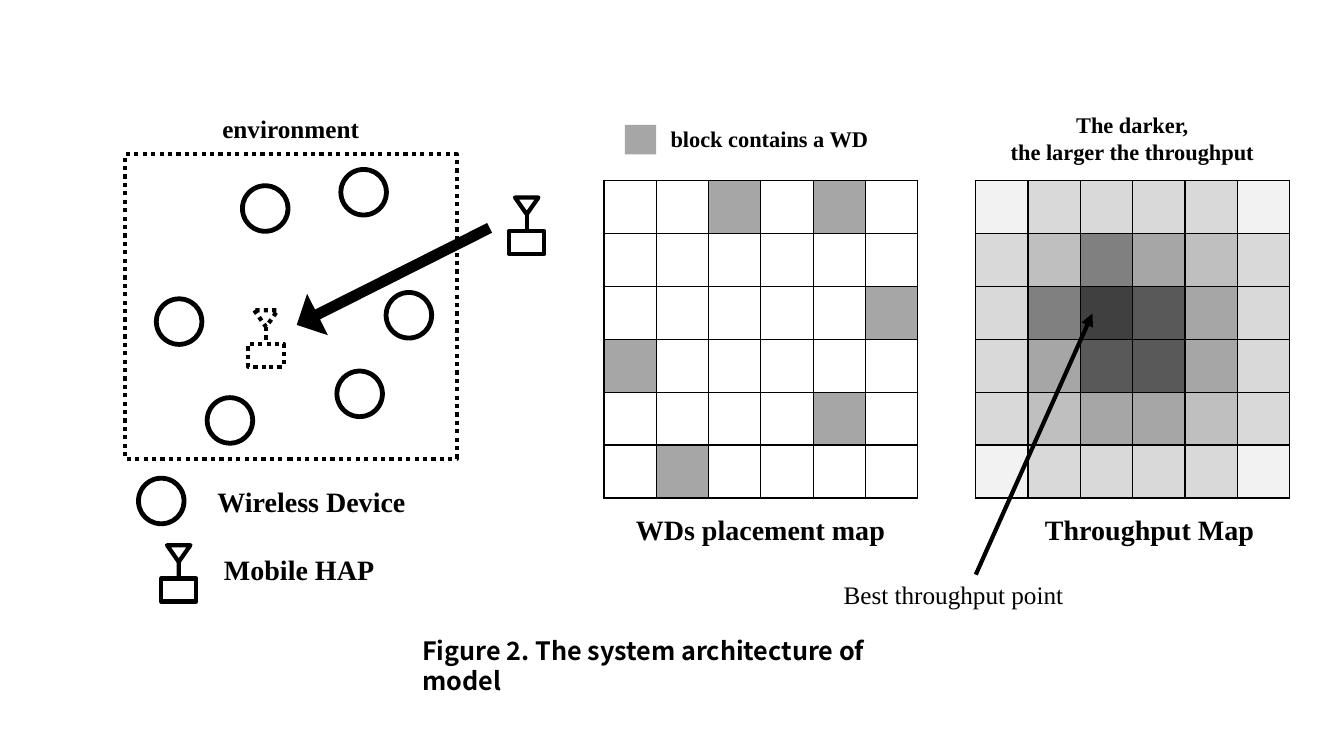
from lxml import etree
from pptx import Presentation
from pptx.dml.color import RGBColor
from pptx.enum.dml import MSO_LINE
from pptx.enum.shapes import MSO_CONNECTOR, MSO_SHAPE
from pptx.enum.text import MSO_ANCHOR, MSO_AUTO_SIZE, PP_ALIGN
from pptx.oxml import parse_xml
from pptx.oxml.ns import nsdecls, qn
from pptx.util import Cm, Pt

# Content: all lengths in centimetres
BLACK, GREY = "000000", "A6A6A6"
SERIF, SANS = "Times New Roman", "Noto Sans CJK KR"
SHADES = {"0": None, "1": "F2F2F2", "2": "D9D9D9", "3": "BFBFBF",
          "4": GREY, "5": "808080", "6": "595959", "7": "404040"}
PLACEMENT_MAP = ["004040", "000000", "000004", "400000", "000040", "040000"]
THROUGHPUT_MAP = ["122221", "235432", "257642", "246642", "234432", "122221"]
MAPS = [(15.22, 4.55, PLACEMENT_MAP), (24.59, 4.55, THROUGHPUT_MAP)]
MAP_WIDTH, MAP_HEIGHT = 7.91, 8.0

DEVICE_SIZE = 1.27
DEVICES = [(6.05, 4.62), (3.43, 11.99), (3.88, 7.47), (5.16, 9.96),
           (8.43, 9.29), (9.67, 7.31), (8.53, 4.21)]
HAPS = [(12.83, 4.98, False), (4.06, 13.74, False), (6.26, 7.82, True)]

# left, top, width, height, lines, size, bold
LABELS = [
    (5.21, 12.09, 5.28, 1.11, ["Wireless Device"], 20, True),
    (5.38, 13.8, 4.32, 1.11, ["Mobile HAP"], 20, True),
    (26.06, 12.78, 5.82, 1.11, ["Throughput Map"], 20, True),
    (15.75, 12.78, 6.83, 1.11, ["WDs placement map"], 20, True),
    (16.61, 3.03, 5.56, 0.94, ["block contains a WD"], 16, True),
    (25.17, 2.67, 6.73, 1.62, ["The darker,", "the larger the throughput"], 16, True),
    (20.98, 14.48, 6.1, 1.03, ["Best throughput point"], 18, False),
    (5.33, 2.74, 3.99, 1.03, ["environment"], 18, True),
]
CAPTION = (10.39, 15.88, 13.74, 1.03,
           ["Figure 2. The system architecture of model"], 18, True)

deck = Presentation()
deck.slide_width, deck.slide_height = Cm(33.87), Cm(19.05)
page = deck.slides.add_slide(deck.slide_layouts[6])


def color(value):
    return RGBColor.from_string(value)


def paint(fill, value):
    if value:
        fill.solid()
        fill.fore_color.rgb = color(value)
    else:
        fill.background()


def outline(line, dotted=False):
    line.color.rgb = color(BLACK)
    line.width = Pt(3)
    if dotted:
        line.dash_style = MSO_LINE.ROUND_DOT


def add_figure(kind, left, top, width, height, fill=None, dotted=False):
    """Filled figures have no outline; unfilled ones have a black outline."""
    shape = page.shapes.add_shape(kind, Cm(left), Cm(top), Cm(width), Cm(height))
    shape.shadow.inherit = False
    paint(shape.fill, fill)
    if fill:
        shape.line.fill.background()
    else:
        outline(shape.line, dotted)
    return shape


def add_line(x1, y1, x2, y2, dotted=False):
    link = page.shapes.add_connector(MSO_CONNECTOR.STRAIGHT,
                                     Cm(x1), Cm(y1), Cm(x2), Cm(y2))
    outline(link.line, dotted)
    etree.SubElement(link._element.spPr, qn("a:effectLst"))
    return link


def add_text(left, top, width, height, lines, size, bold,
             font=SERIF, align=PP_ALIGN.CENTER, wrap=False):
    box = page.shapes.add_textbox(Cm(left), Cm(top), Cm(width), Cm(height))
    frame = box.text_frame
    frame.word_wrap = wrap
    frame.auto_size = MSO_AUTO_SIZE.SHAPE_TO_FIT_TEXT
    frame.vertical_anchor = MSO_ANCHOR.TOP
    frame.text = "\n".join(lines)
    for para in frame.paragraphs:
        para.alignment = align
        for span in para.runs:
            span.font.name, span.font.size, span.font.bold = font, Pt(size), bold
            span.font.color.rgb = color(BLACK)
            east_asian = etree.SubElement(span.font._element, qn("a:ea"))
            east_asian.set("typeface", font)


def add_hap(left, top, dotted):
    body = add_figure(MSO_SHAPE.RECTANGLE, left, top + 0.84, 0.89, 0.58, dotted=dotted)
    antenna = add_figure(MSO_SHAPE.ISOSCELES_TRIANGLE, left + 0.15, top, 0.59, 0.42,
                         dotted=dotted)
    antenna._element.spPr.find(qn("a:xfrm")).set("flipV", "1")
    middle = left + 0.89 / 2
    stem = add_line(middle, top + 0.42, middle, top + 0.84, dotted)
    stem.end_connect(body, 0)


def add_map(left, top, rows):
    count = len(rows)
    table = page.shapes.add_table(count, count, Cm(left), Cm(top),
                                  Cm(MAP_WIDTH), Cm(MAP_HEIGHT)).table
    table.first_row = table.horz_banding = False
    for column in table.columns:
        column.width = Cm(MAP_WIDTH / count)
    for r, row in enumerate(rows):
        table.rows[r].height = Cm(MAP_HEIGHT / count)
        for c, shade in enumerate(row):
            cell = table.cell(r, c)
            properties = cell._tc.get_or_add_tcPr()
            for side in ("lnL", "lnR", "lnT", "lnB"):
                properties.append(parse_xml(
                    f'<a:{side} {nsdecls("a")} w="12700"><a:solidFill>'
                    f'<a:srgbClr val="{BLACK}"/></a:solidFill></a:{side}>'))
            paint(cell.fill, SHADES[shade])


# Environment with its devices and access points
for left, top in DEVICES:
    device = add_figure(MSO_SHAPE.DONUT, left, top, DEVICE_SIZE, DEVICE_SIZE, BLACK)
    device.adjustments[0] = 0.094
add_figure(MSO_SHAPE.RECTANGLE, 3.15, 3.89, 8.36, 7.67, dotted=True)
move = add_figure(MSO_SHAPE.LEFT_ARROW, 7.19, 6.38, 5.44, 1.17, BLACK)
move.adjustments[0], move.adjustments[1] = 0.236, 0.5
move.rotation = 333.3
for hap in HAPS:
    add_hap(*hap)

# Maps and the key to the grey blocks
for grid in MAPS:
    add_map(*grid)
add_figure(MSO_SHAPE.RECTANGLE, 15.75, 3.15, 0.79, 0.74, GREY)

# Pointer to the best throughput
pointer = add_line(24.59, 14.48, 27.53, 7.9)
etree.SubElement(pointer.line._get_or_add_ln(), qn("a:tailEnd")).set("type", "triangle")

# Labels and caption
for label in LABELS:
    add_text(*label)
add_text(*CAPTION, font=SANS, align=PP_ALIGN.LEFT, wrap=True)

deck.save("out.pptx")
